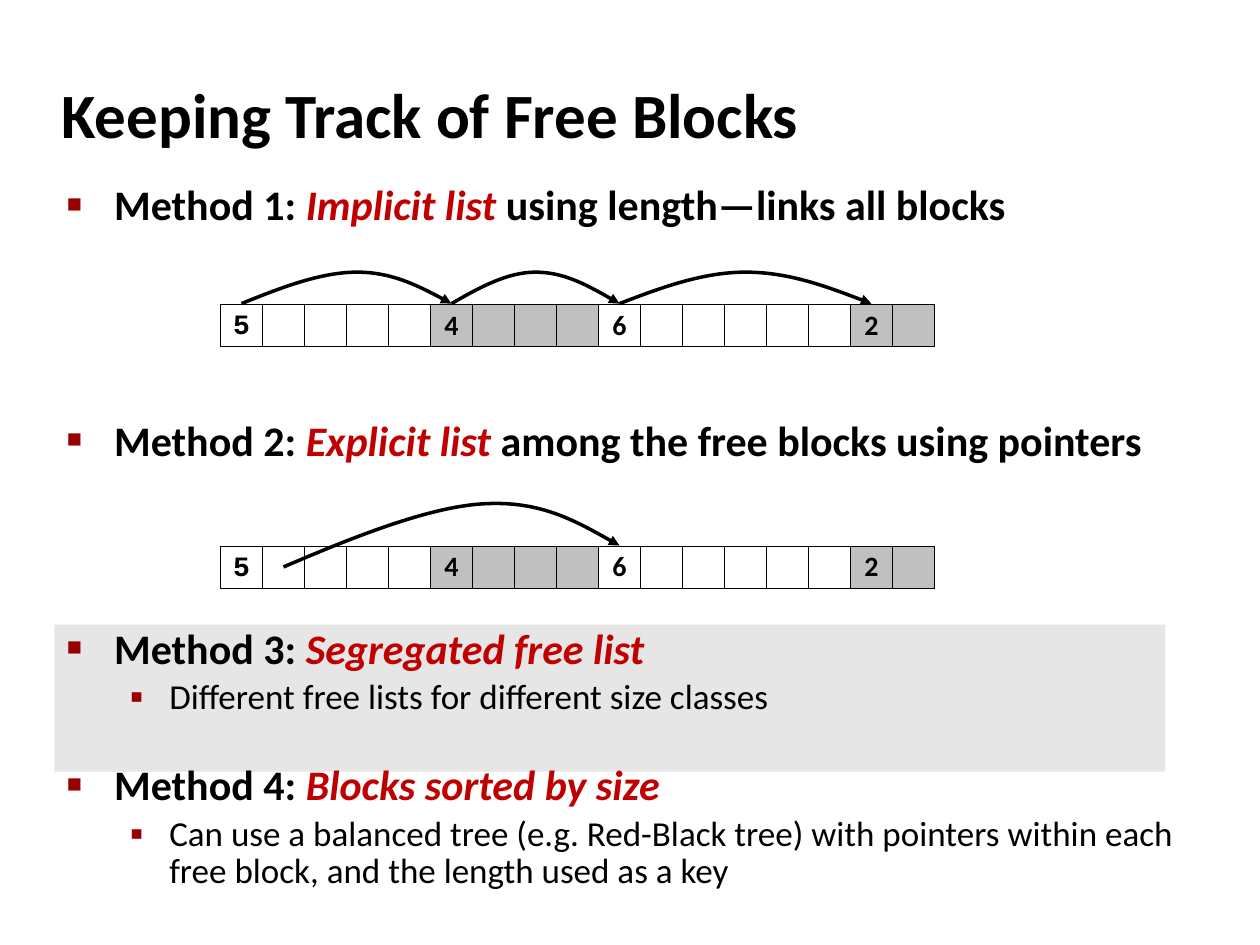
import pptx
import pptx.util
import pptx.dml.color
import pptx.enum.shapes
import pptx.enum.text
import pptx.oxml.ns
import lxml.etree

Pt = pptx.util.Pt
RGB = pptx.dml.color.RGBColor
BLACK = RGB(0x00, 0x00, 0x00)
WHITE = RGB(0xFF, 0xFF, 0xFF)
GRAY = RGB(0xC0, 0xC0, 0xC0)
PALE = RGB(0xE6, 0xE6, 0xE6)
RED = RGB(0xC0, 0x00, 0x00)
RECT = pptx.enum.shapes.MSO_SHAPE.RECTANGLE
ALIGN = pptx.enum.text.PP_ALIGN
MIDDLE = pptx.enum.text.MSO_ANCHOR.MIDDLE
FIXED = pptx.enum.text.MSO_AUTO_SIZE.NONE


def put(item, color=None, **form):
    """Set each format value on a shape, frame, paragraph or font."""
    for key, val in form.items():
        setattr(item, key, val)
    if color is not None:
        item.color.rgb = color


def add_node(top, tag, **attrs):
    return lxml.etree.SubElement(top, pptx.oxml.ns.qn(tag), attrs)


deck = pptx.Presentation()
put(deck, slide_width=Pt(720), slide_height=Pt(540))
slide = deck.slides.add_slide(deck.slide_layouts[1])
shapes = slide.shapes
title, body = slide.placeholders

# Band behind the third method
band = shapes.add_shape(RECT, Pt(31), Pt(357), Pt(635), Pt(84))
band.shadow.inherit = False
band.fill.solid()
band.fill.fore_color.rgb = PALE
band.line.fill.background()
title._element.addprevious(band._element)

# Title
put(title, left=Pt(28), top=Pt(34.5), width=Pt(598), height=Pt(60))
put(title.text_frame, text="Keeping Track of Free Blocks",
    vertical_anchor=MIDDLE, auto_size=FIXED)
head = title.text_frame.paragraphs[0]
head.alignment = ALIGN.LEFT
put(head.font, BLACK, name="Calibri", size=Pt(36), bold=True)

# Methods: level, space before, line spacing, plain / stressed / plain text
items = [
    (0, 0, 1.0, "Method 1: ", "Implicit list ", "using length—links all blocks"),
    (0, 105.6, 1.0, "Method 2: ", "Explicit list ",
     "among the free blocks using pointers"),
    (0, 95, 0.83, "Method 3: ", "Segregated free list", ""),
    (1, 4.4, 0.88, "Different free lists for different size classes", "", ""),
    (0, 28.7, 0.83, "Method 4: ", "Blocks sorted by size", ""),
    (1, 4.4, 0.88, "Can use a balanced tree (e.g. Red-Black tree) with pointers "
     "within each free block, and the length used as a key", "", ""),
]
# Per level: left margin, hanging indent, bullet, bullet percent, text size
levels = [(27, 27, "■", 60, 24), (58.5, 22.5, "▪", 110, 20)]

put(body, left=Pt(31), top=Pt(98.6), width=Pt(653), height=Pt(423.4))
put(body.text_frame, auto_size=FIXED, word_wrap=True)
for n, (level, before, lines, *parts) in enumerate(items):
    left, hang, mark, scale, size = levels[level]
    para = body.text_frame.add_paragraph() if n else body.text_frame.paragraphs[0]
    para.level = level
    props = para._p.get_or_add_pPr()
    props.set("marL", str(Pt(left)))
    props.set("indent", str(-Pt(hang)))
    add_node(add_node(props, "a:buClr"), "a:srgbClr", val="990000")
    add_node(props, "a:buSzPct", val=str(scale * 1000))
    add_node(props, "a:buChar", char=mark)
    put(para, space_before=Pt(before), line_spacing=lines, alignment=ALIGN.LEFT)
    put(para.font, BLACK, name="Calibri", size=Pt(size), bold=level == 0)
    for k, text in enumerate(parts):
        if text:
            run = para.add_run()
            run.text = text
            put(run.font, RED if k == 1 else BLACK, name="Calibri", size=Pt(size),
                bold=level == 0, italic=k == 1)

# Two heaps of the same blocks: length and fill
CELL = 24
START = 126
blocks = [(5, WHITE), (4, GRAY), (6, WHITE), (2, GRAY)]
for top in (174, 312):
    left = START
    for count, color in blocks:
        for k in range(count):
            cell = shapes.add_shape(RECT, Pt(left), Pt(top), Pt(CELL), Pt(CELL))
            cell.shadow.inherit = False
            cell.fill.solid()
            cell.fill.fore_color.rgb = color
            put(cell.line, BLACK, width=Pt(0.25))
            left += CELL
            if k == 0:
                put(cell.text_frame, text=str(count), word_wrap=False,
                    vertical_anchor=MIDDLE)
                para = cell.text_frame.paragraphs[0]
                put(para, alignment=ALIGN.CENTER,
                    line_spacing=0.94 if count == 5 else 0.98)
                put(para.font, BLACK, size=Pt(16), bold=True,
                    name="Courier New" if count == 5 else "Calibri")

# Curved links: first cell, last cell, shares of the width, heights
even = [k / 6 for k in range(7)]
arch = [173.5, 164.2, 155.5, 155.5, 155.5, 164.2, 173.5]
links = [
    (0, 5, [0, 0.19, 0.38, 0.55, 0.71, 0.86, 1], arch),
    (5, 9, even, arch),
    (9, 15, even, arch),
    (1, 9, [0, 0.21, 0.43, 0.59, 0.76, 0.88, 1],
     [324, 306.7, 290, 288, 285.8, 298.8, 311.8]),
]
for first, last, shares, highs in links:
    left = START + CELL * (first + 0.5)
    width = CELL * (last - first)
    spots = [(Pt(left + width * x), Pt(y)) for x, y in zip(shares, highs)]
    pen = shapes.build_freeform(*spots[0])
    pen.add_line_segments(spots[1:], close=False)
    link = pen.convert_to_shape()
    link.shadow.inherit = False
    link.fill.background()
    put(link.line, BLACK, width=Pt(2))
    add_node(link.line._get_or_add_ln(), "a:tailEnd", type="triangle")
    # Every three points make one cubic curve
    track = link._element.xpath(".//a:path")[0]
    steps = track.findall(pptx.oxml.ns.qn("a:lnTo"))
    for k, step in enumerate(steps):
        if k % 3 == 0:
            curve = add_node(track, "a:cubicBezTo")
        curve.append(step[0])
        track.remove(step)

deck.save("out.pptx")
